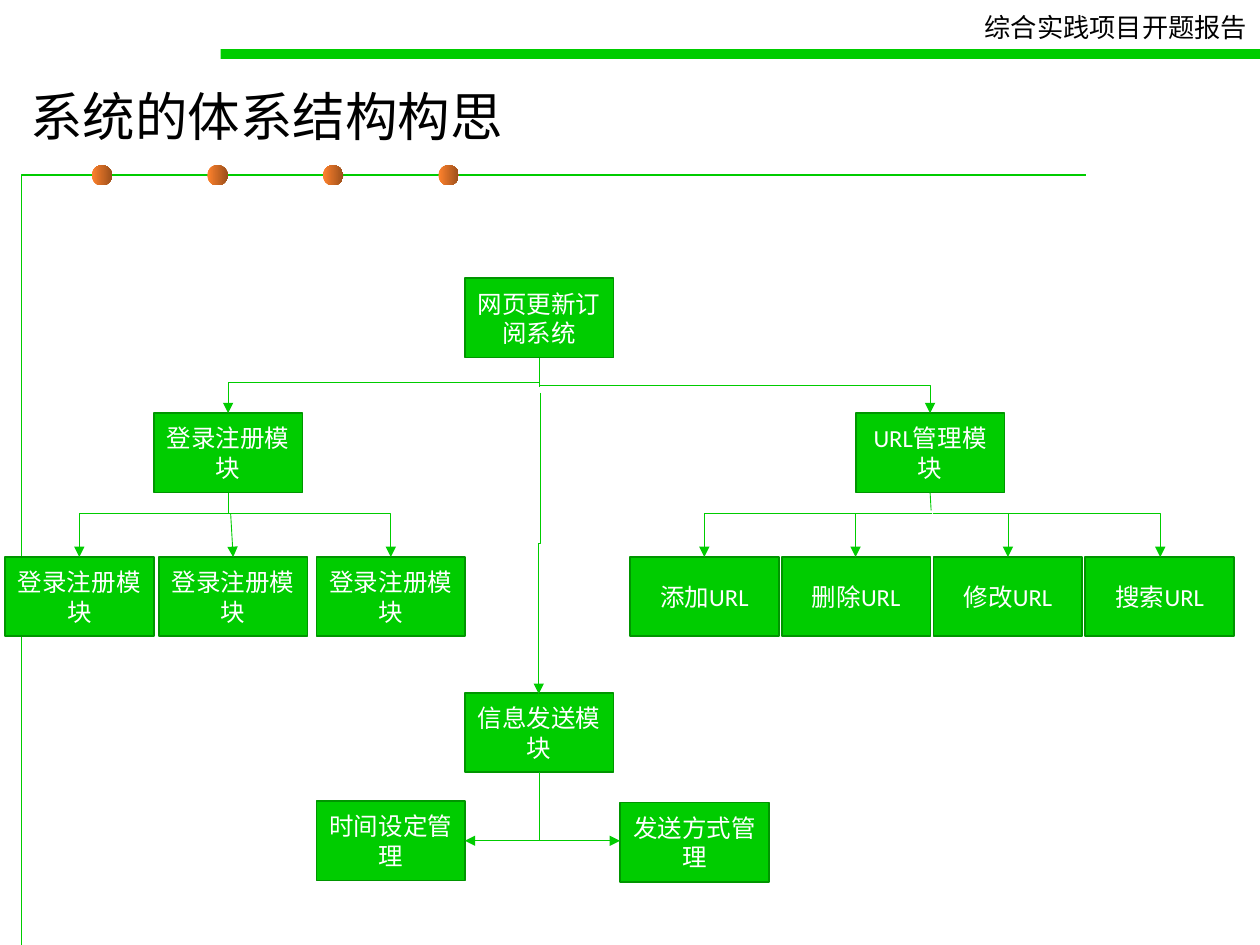
from lxml import etree
from pptx import Presentation
from pptx.dml.color import RGBColor as RGB
from pptx.enum.shapes import MSO_CONNECTOR as LINK, MSO_SHAPE as SHAPE
from pptx.enum.text import MSO_ANCHOR as ANCHOR, MSO_AUTO_SIZE as FIT, PP_ALIGN as ALIGN
from pptx.oxml.ns import qn
from pptx.util import Cm, Pt

COLORS = {
    "green": "00CC00", "edge": "009500", "text": "000000",
    "box_text": "FFFFFF", "dot_light": "FF822D", "dot_dark": "9B4F1B",
}
FONT = "Calibri"
BOX_W, BOX_H = 3.0, 1.6


def write(frame, text, size, color, align):
    paragraph = frame.paragraphs[0]
    paragraph.alignment = align
    run = paragraph.add_run()
    run.text = text
    run.font.name = FONT
    run.font.size = Pt(size)
    run.font.color.rgb = RGB.from_string(COLORS[color])


def link(kind, x1, y1, x2, y2, arrow=True, down_first=False):
    """Draw a connector; down_first turns an elbow so that it leaves downwards."""
    turn = 0
    if down_first:
        turn, side = (90, 1) if x2 < x1 else (270, -1)
        mid_x, mid_y = (x1 + x2) / 2, (y1 + y2) / 2
        half_w, half_h = side * (y2 - y1) / 2, abs(x2 - x1) / 2
        x1, x2 = mid_x - half_w, mid_x + half_w
        y1, y2 = mid_y - half_h, mid_y + half_h
    straight = kind == "line"
    connector = slide.shapes.add_connector(
        LINK.STRAIGHT if straight else LINK.ELBOW, Cm(x1), Cm(y1), Cm(x2), Cm(y2))
    connector.line.color.rgb = RGB.from_string(COLORS["green"])
    connector.line.width = Pt(0.5)
    properties = connector._element.spPr
    if not straight:
        properties.find(qn("a:prstGeom")).set("prst", kind)
    if turn:
        properties.find(qn("a:xfrm")).set("rot", str(turn * 60000))
    if arrow:
        etree.SubElement(properties.find(qn("a:ln")), qn("a:tailEnd"), type="triangle")
    etree.SubElement(properties, qn("a:effectLst"))


prs = Presentation()
prs.slide_width, prs.slide_height = Cm(25.4), Cm(19.05)
slide = prs.slides.add_slide(prs.slide_layouts[5])

# Corner frame line
builder = slide.shapes.build_freeform(Cm(0.43), Cm(19.05))
builder.add_line_segments([(Cm(0.43), Cm(3.53)), (Cm(21.9), Cm(3.53))], close=False)
corner = builder.convert_to_shape()
corner.shadow.inherit = False
corner.fill.background()
corner.line.color.rgb = RGB.from_string(COLORS["green"])
corner.line.width = Pt(0.75)

# Dots on the frame line
for i in range(4):
    dot = slide.shapes.add_shape(
        SHAPE.OVAL, Cm(1.85 + 2.33 * i), Cm(3.33), Cm(0.41), Cm(0.41))
    dot.shadow.inherit = False
    dot.line.fill.background()
    dot.fill.gradient()
    dot.fill.gradient_angle = 0
    for stop, shade in zip(dot.fill.gradient_stops, ("dot_light", "dot_dark")):
        stop.color.rgb = RGB.from_string(COLORS[shade])

# Header bar and report name
bar = slide.shapes.add_shape(SHAPE.RECTANGLE, Cm(4.45), Cm(0.99), Cm(20.95), Cm(0.2))
bar.shadow.inherit = False
bar.fill.solid()
bar.fill.fore_color.rgb = RGB.from_string(COLORS["green"])
bar.line.fill.background()

report = slide.shapes.add_textbox(Cm(19.6), Cm(0.1), Cm(5.8), Cm(0.9)).text_frame
report.word_wrap = False
report.auto_size = FIT.SHAPE_TO_FIT_TEXT
write(report, "综合实践项目开题报告", 15, "text", ALIGN.LEFT)

# Title
title = slide.shapes.title
title.left, title.top, title.width, title.height = Cm(0.36), Cm(1.42), Cm(23.6), Cm(1.8)
title.text_frame.auto_size = FIT.NONE
title.text_frame.vertical_anchor = ANCHOR.MIDDLE
write(title.text_frame, "系统的体系结构构思", 30, "text", ALIGN.LEFT)

# Module boxes: text, left, top
modules = [
    ("网页更新订阅系统", 9.37, 5.61),
    ("登录注册模块", 3.1, 8.33),
    *[("登录注册模块", left, 11.23) for left in (0.1, 3.2, 6.38)],
    ("URL管理模块", 17.25, 8.33),
    *[(action + "URL", 12.7 + 3.06 * i, 11.23)
      for i, action in enumerate(("添加", "删除", "修改", "搜索"))],
    ("信息发送模块", 9.37, 13.97),
    ("时间设定管理", 6.38, 16.15),
    ("发送方式管理", 12.5, 16.18),
]
for text, left, top in modules:
    box = slide.shapes.add_shape(SHAPE.RECTANGLE, Cm(left), Cm(top), Cm(BOX_W), Cm(BOX_H))
    box.shadow.inherit = False
    box.fill.solid()
    box.fill.fore_color.rgb = RGB.from_string(COLORS["green"])
    box.line.color.rgb = RGB.from_string(COLORS["edge"])
    box.line.width = Pt(1)
    box.text_frame.word_wrap = True
    box.text_frame.vertical_anchor = ANCHOR.MIDDLE
    write(box.text_frame, text, 14, "box_text", ALIGN.CENTER)

# System to its three modules
link("line", 10.87, 7.21, 10.87, 7.8, arrow=False)
link("bentConnector2", 10.87, 7.72, 4.6, 8.33)
link("bentConnector2", 10.87, 7.77, 18.75, 8.33)
link("bentConnector3", 10.9, 7.92, 10.86, 13.99, down_first=True)

# Login module to its parts
link("line", 4.6, 9.93, 4.6, 10.36, arrow=False)
for start, end in ((4.7, 1.6), (4.6, 7.88)):
    link("bentConnector2", start, 10.36, end, 11.23)
link("line", 4.65, 10.36, 4.7, 11.23)

# URL module to its parts
link("line", 18.75, 9.93, 18.77, 10.29, arrow=False)
for start, end in ((18.75, 14.2), (18.82, 23.39), (18.8, 17.25), (18.8, 20.32)):
    link("bentConnector2", start, 10.36, end, 11.23)

# Sending module to its parts
for end in (9.37, 12.5):
    link("bentConnector2", 10.87, 15.57, end, 16.95, down_first=True)

prs.save("out.pptx")
